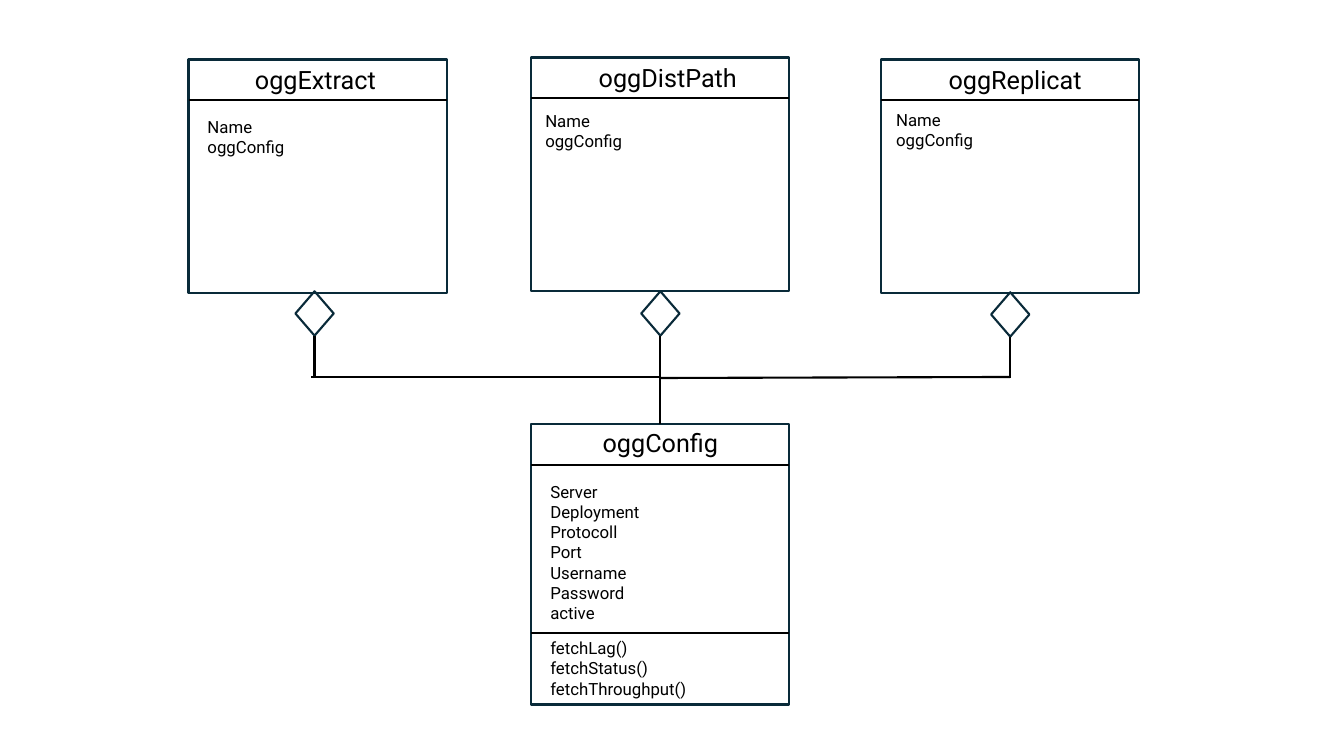
"""Build a UML class diagram of the ogg classes on one slide."""
from dataclasses import dataclass

from lxml import etree
from pptx import Presentation
from pptx import util as u
from pptx.dml.color import RGBColor
from pptx.enum import shapes, text
from pptx.oxml import ns

PX = u.Inches(1) // 100
COLOURS = {"outline": "092A39", "ink": "000000"}
CLASS_WIDTH, TITLE_HEIGHT = 256, 40
DIAMOND_WIDTH, DIAMOND_HEIGHT = 38, 44
BUS_Y = 374


@dataclass(frozen=True)
class UmlClass:
    name: str
    left: int
    top: int
    height: int
    fields: tuple[str, ...]
    fields_dx: int
    fields_dy: int
    title_dx: int = 57
    title_dy: int = 0
    title_width: int = 166
    centred: bool = False
    methods: tuple[str, ...] = ()
    methods_dy: int = 0


@dataclass(frozen=True)
class Diamond:
    left: int
    top: int


LINK_FIELDS = ("Name", "oggConfig")
CONFIG = UmlClass(
    "oggConfig", 527, 421, 278,
    ("Server", "Deployment", "Protocoll", "Port", "Username", "Password", "active"),
    9, 52, title_dx=0, title_dy=-2, title_width=CLASS_WIDTH, centred=True,
    methods=("fetchLag()", "fetchStatus()", "fetchThroughput()"), methods_dy=207)
PROCESSES = (
    UmlClass("oggExtract", 187, 59, 232, LINK_FIELDS, 9, 52, title_dx=56),
    UmlClass("oggDistPath", 527, 57, 232, LINK_FIELDS, 4, 48),
    UmlClass("oggReplicat", 874, 59, 232, LINK_FIELDS, 5, 45),
)
DIAMONDS = (Diamond(293, 289), Diamond(636, 289), Diamond(983, 290))


def px(value: int) -> u.Emu:
    return u.Emu(value * PX)


def colour(name: str) -> RGBColor:
    return RGBColor.from_string(COLOURS[name])


def add_text(slide, lines: tuple[str, ...], *, left: int, top: int, width: int,
             height: int, size: int = 12, centred: bool = False) -> None:
    box = slide.shapes.add_textbox(px(left), px(top), px(width), px(height))
    frame = box.text_frame
    frame.word_wrap = True
    frame.auto_size = text.MSO_AUTO_SIZE.SHAPE_TO_FIT_TEXT
    frame.text = "\n".join(lines)
    for paragraph in frame.paragraphs:
        paragraph.alignment = text.PP_ALIGN.CENTER if centred else text.PP_ALIGN.LEFT
        font = paragraph.runs[0].font
        font.name, font.size = "Roboto", u.Pt(size)
        font.color.rgb = colour("ink")


def add_outline(slide, kind: shapes.MSO_SHAPE, left: int, top: int,
                width: int, height: int):
    shape = slide.shapes.add_shape(kind, px(left), px(top), px(width), px(height))
    shape.shadow.inherit = False
    shape.fill.background()
    shape.line.color.rgb = colour("outline")
    shape.line.width = u.Pt(1.5)
    return shape


def add_line(slide, x1: int, y1: int, x2: int, y2: int):
    line = slide.shapes.add_connector(
        shapes.MSO_CONNECTOR.STRAIGHT, px(x1), px(y1), px(x2), px(y2))
    line.line.color.rgb = colour("ink")
    line.line.width = u.Pt(1.5)
    etree.SubElement(line._element.spPr, ns.qn("a:effectLst"))
    return line


def add_class(slide, uml: UmlClass):
    def add_rule(dy: int) -> None:
        add_line(slide, uml.left, uml.top + dy, uml.left + CLASS_WIDTH, uml.top + dy)

    def add_members(lines: tuple[str, ...], dy: int, width: int) -> None:
        add_text(slide, lines, left=uml.left + uml.fields_dx, top=uml.top + dy,
                 width=width, height=10 + 20 * len(lines))

    shape = add_outline(slide, shapes.MSO_SHAPE.RECTANGLE,
                        uml.left, uml.top, CLASS_WIDTH, uml.height)
    add_text(slide, (uml.name,), left=uml.left + uml.title_dx, top=uml.top + uml.title_dy,
             width=uml.title_width, height=TITLE_HEIGHT, size=18, centred=uml.centred)
    add_rule(TITLE_HEIGHT)
    add_members(uml.fields, uml.fields_dy, 130)
    if uml.methods:
        add_rule(uml.methods_dy)
        add_members(uml.methods, uml.methods_dy, CLASS_WIDTH)
    return shape


def add_links(slide, config) -> None:
    middle = CONFIG.left + CLASS_WIDTH // 2
    for diamond in DIAMONDS:
        centre = diamond.left + DIAMOND_WIDTH // 2
        shape = add_outline(slide, shapes.MSO_SHAPE.DIAMOND, diamond.left, diamond.top,
                            DIAMOND_WIDTH, DIAMOND_HEIGHT)
        stem = add_line(slide, centre, BUS_Y + 1, centre, diamond.top + DIAMOND_HEIGHT)
        stem.end_connect(shape, 2)
        if centre == middle:
            stem.begin_connect(config, 0)
    add_line(slide, middle, BUS_Y, 308, BUS_Y)
    add_line(slide, 1002, BUS_Y, middle, BUS_Y + 1)


def main() -> None:
    presentation = Presentation()
    presentation.slide_width, presentation.slide_height = u.Inches(13.33), u.Inches(7.5)
    slide = presentation.slides.add_slide(presentation.slide_layouts[6])
    config = add_class(slide, CONFIG)
    for process in PROCESSES:
        add_class(slide, process)
    add_links(slide, config)
    presentation.save("out.pptx")


if __name__ == "__main__":
    main()
